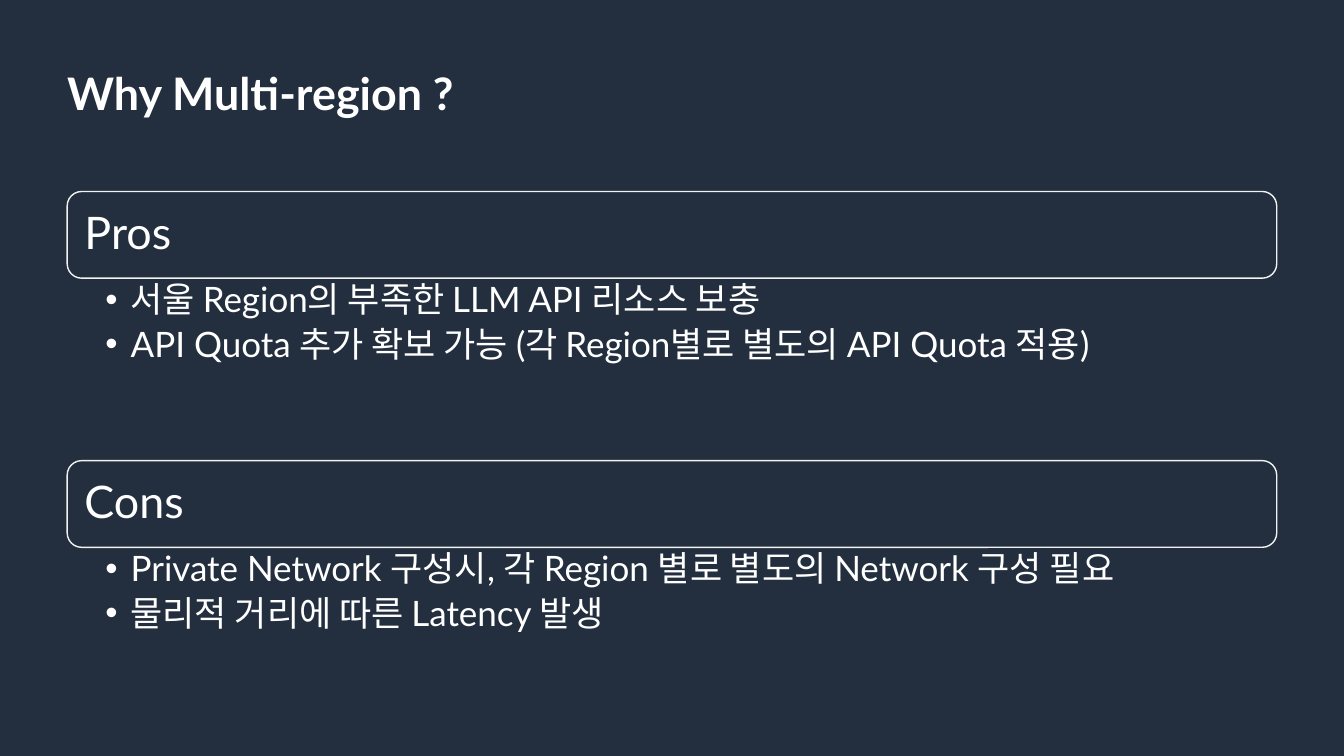
from lxml.etree import SubElement
from pptx import Presentation
from pptx.dml.color import RGBColor
from pptx.enum.shapes import MSO_SHAPE as Shape
from pptx.enum.text import MSO_ANCHOR as Anchor, PP_ALIGN as Align
from pptx.oxml.ns import qn
from pptx.util import Inches, Pt

COLORS = {"navy": "232F3E", "white": "FFFFFF", "outline": "F1F3F3"}
SECTIONS = [
    ("Pros", 24.13, [
        "서울 Region의 부족한 LLM API 리소스 보충",
        "API Quota 추가 확보 가능 (각 Region별로 별도의 API Quota 적용)",
    ]),
    ("Cons", 17.87, [
        "Private Network 구성시, 각 Region 별로 별도의 Network 구성 필요",
        "물리적 거리에 따른 Latency 발생",
    ]),
]
FIRST_ROW, SECTION_PITCH, HEADING_ROWS = 25.33, 35.6, 11.47


class SlideBuilder:
    """Draws styled elements on a grid of 20 columns and 100 rows."""

    font = "Lato"
    left, columns = 1, 18

    def __init__(self, deck):
        self.column = deck.slide_width / 20
        self.row = deck.slide_height / 100
        self.page = deck.slides.add_slide(deck.slide_layouts[6])
        fill = self.page.background.fill
        fill.solid()
        fill.fore_color.rgb = self.color("navy")

    def color(self, name):
        return RGBColor.from_string(COLORS[name])

    def place(self, top, rows):
        return [int(length) for length in (
            self.left * self.column, top * self.row,
            self.columns * self.column, rows * self.row)]

    def set_text(self, shape, lines, size, insets, bold=False, anchor=Anchor.TOP):
        frame = shape.text_frame
        frame.text = "\n".join(lines)
        frame.word_wrap = True
        frame.vertical_anchor = anchor
        (frame.margin_left, frame.margin_top,
         frame.margin_right, frame.margin_bottom) = map(Inches, insets)
        for para in frame.paragraphs:
            para.alignment = Align.LEFT
            para.line_spacing = 0.9
            for span in para.runs:
                span.font.name = self.font
                span.font.size = Pt(size)
                span.font.bold = bold
                span.font.color.rgb = self.color("white")
        return frame

    def title(self, text, top, rows):
        box = self.page.shapes.add_textbox(*self.place(top, rows))
        self.set_text(box, [text], 32, (0, 0.05, 0, 0.05), bold=True)

    def heading(self, text, top, rows):
        bar = self.page.shapes.add_shape(Shape.ROUNDED_RECTANGLE, *self.place(top, rows))
        bar.shadow.inherit = False
        bar.fill.solid()
        bar.fill.fore_color.rgb = self.color("navy")
        bar.line.color.rgb = self.color("outline")
        bar.line.width = Pt(1)
        self.set_text(bar, [text], 32, (0.13, 0.13, 0.13, 0.13), anchor=Anchor.MIDDLE)

    def bullets(self, lines, top, rows):
        box = self.page.shapes.add_textbox(*self.place(top, rows))
        frame = self.set_text(box, lines, 25, (0.38, 0.04, 0.25, 0.04))
        for para in frame.paragraphs:
            para.level = 1
            para.space_after = Pt(5)
            properties = para._p.get_or_add_pPr()
            properties.set("marL", str(Inches(0.25)))
            properties.set("indent", str(Inches(-0.25)))
            SubElement(properties, qn("a:buFont"), typeface="Arial")
            SubElement(properties, qn("a:buChar"), char="•")


def main():
    deck = Presentation()
    deck.slide_width, deck.slide_height = Inches(13.33), Inches(7.5)
    builder = SlideBuilder(deck)
    builder.title("Why Multi-region ?", 8.8, 7.87)
    for index, (name, body_rows, lines) in enumerate(SECTIONS):
        top = FIRST_ROW + index * SECTION_PITCH
        builder.heading(name, top, HEADING_ROWS)
        builder.bullets(lines, top + HEADING_ROWS, body_rows)
    deck.save("out.pptx")


if __name__ == "__main__":
    main()
